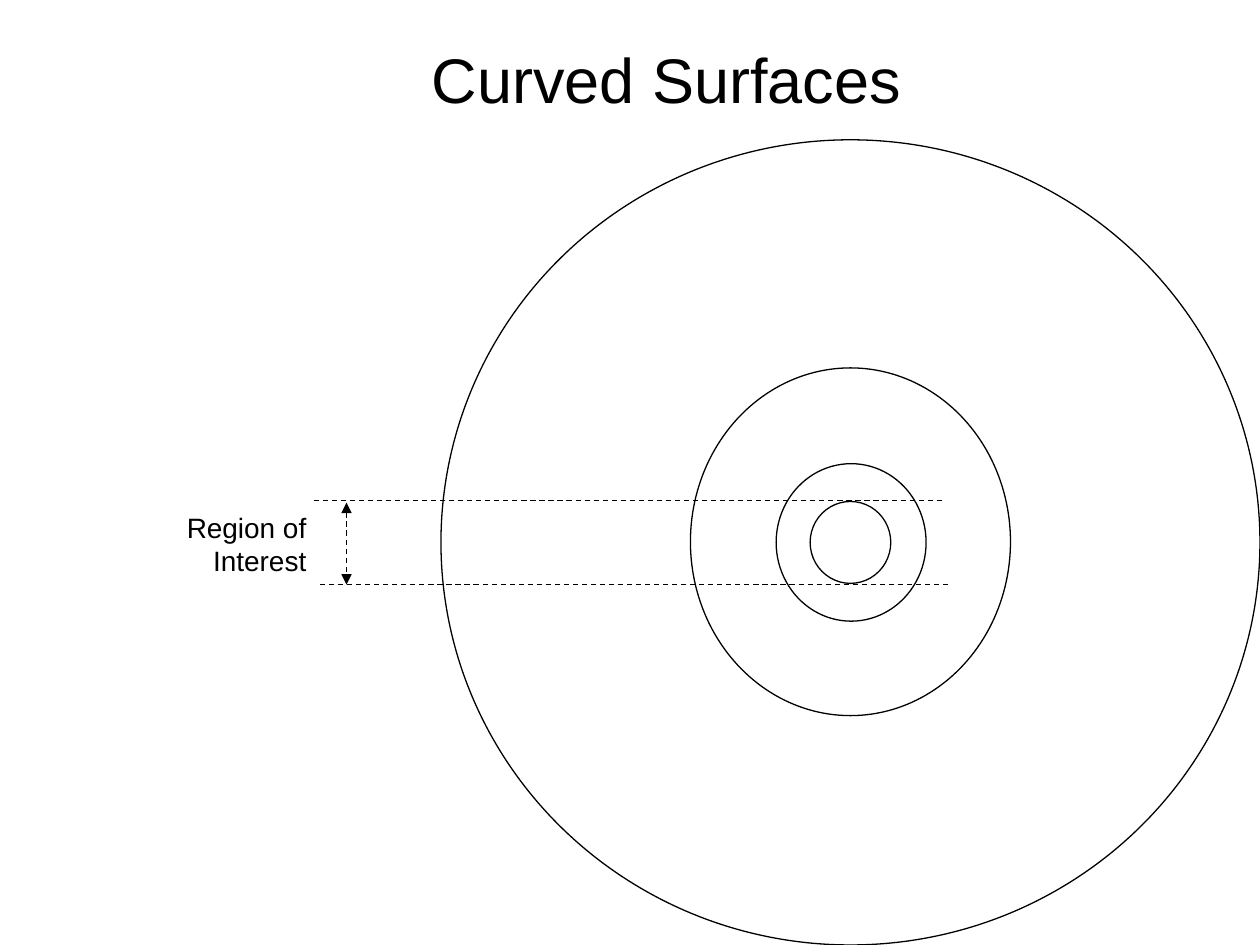
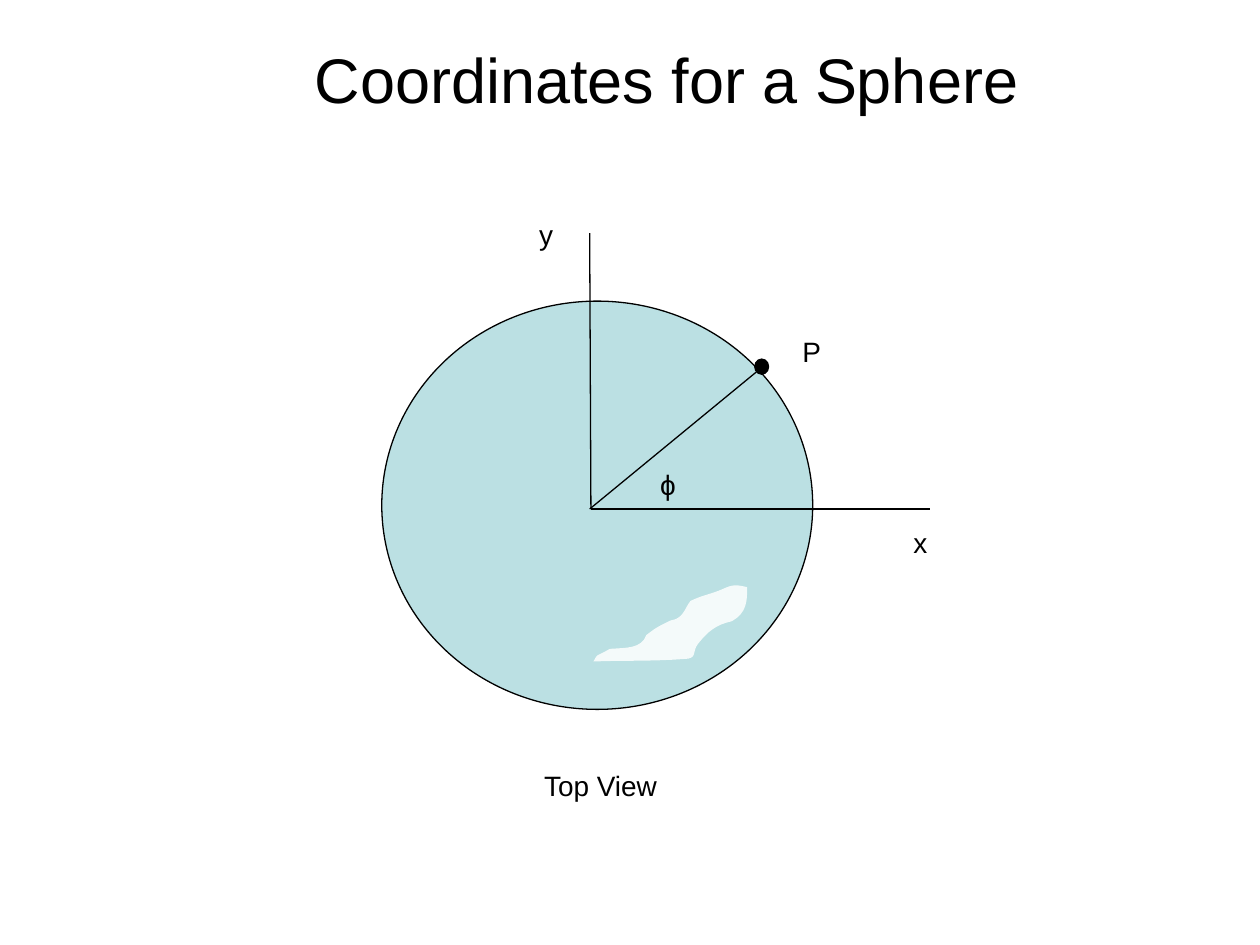
"""Build two geometry slides: curved surfaces and coordinates for a sphere."""
import dataclasses

import lxml.etree
import pptx
import pptx.dml.color
import pptx.enum.dml
import pptx.enum.shapes
import pptx.enum.text
import pptx.oxml
import pptx.oxml.ns
import pptx.util


@dataclasses.dataclass(frozen=True)
class Theme:
    ink: pptx.dml.color.RGBColor = pptx.dml.color.RGBColor(0, 0, 0)
    globe: pptx.dml.color.RGBColor = pptx.dml.color.RGBColor(0xBB, 0xE0, 0xE3)
    gleam: pptx.dml.color.RGBColor = pptx.dml.color.RGBColor(0xFF, 0xFF, 0xFF)
    font: str = "Arial"
    title: int = 36
    label: int = 16
    stroke: float = 0.75


THEME = Theme()
EMU_PER_PX = 9144
LEFT = pptx.enum.text.PP_ALIGN.LEFT
CENTER = pptx.enum.text.PP_ALIGN.CENTER
RIGHT = pptx.enum.text.PP_ALIGN.RIGHT


def px(*lengths):
    return [pptx.util.Emu(round(length * EMU_PER_PX)) for length in lengths]


def add_text(slide, wording, box, size, align):
    caption = slide.shapes.add_textbox(*px(*box))
    frame = caption.text_frame
    frame.text = wording
    for paragraph in frame.paragraphs:
        paragraph.alignment = align
        paragraph.font.name = THEME.font
        paragraph.font.size = pptx.util.Pt(size)
        paragraph.font.color.rgb = THEME.ink
    return frame


deck = pptx.Presentation()
deck.slide_width, deck.slide_height = px(1000, 750)
surfaces, sphere = [deck.slides.add_slide(deck.slide_layouts[6]) for _ in range(2)]

for slide, heading in ((surfaces, "Curved Surfaces"), (sphere, "Coordinates for a Sphere")):
    title = add_text(slide, heading, (175, 0, 708, 125), THEME.title, CENTER)
    title.word_wrap = True
    title.vertical_anchor = pptx.enum.text.MSO_ANCHOR.MIDDLE

center_x, center_y = 675, 430
rings = [
    (surfaces, (center_x - width // 2, center_y - height // 2, width, height), None)
    for width, height in ((64, 65), (119, 125), (254, 276), (650, 639))
]
globe = (sphere, (303, 239, 342, 324), THEME.globe)
point = (sphere, (599, 285, 11, 12), THEME.ink)
for slide, box, color in rings + [globe, point]:
    oval = slide.shapes.add_shape(pptx.enum.shapes.MSO_SHAPE.OVAL, *px(*box))
    oval.shadow.inherit = False
    oval.line.color.rgb = THEME.ink
    oval.line.width = pptx.util.Pt(THEME.stroke)
    if color is None:
        oval.fill.background()
    else:
        oval.fill.solid()
        oval.fill.fore_color.rgb = color

gleam_start = (471, 525)
gleam_curves = (
    ((495, 524), (519, 525), (543, 523)),
    ((554, 523), (549, 517), (554, 511)),
    ((562, 501), (568, 496), (581, 493)),
    ((593, 486), (593, 477), (593, 466)),
    ((581, 463), (580, 465), (570, 469)),
    ((562, 472), (556, 473), (548, 477)),
    ((544, 482), (543, 488), (537, 491)),
    ((535, 492), (533, 492), (531, 493)),
    ((521, 498), (521, 498), (513, 504)),
    ((509, 515), (497, 514), (484, 515)),
    ((472, 522), (475, 518), (471, 525)),
)
steps = 8
outline = []
start = gleam_start
for curve in gleam_curves:
    for step in range(1, steps + 1):
        t = step / steps
        weights = ((1 - t) ** 3, 3 * t * (1 - t) ** 2, 3 * t**2 * (1 - t), t**3)
        outline.append(px(*(
            sum(weight * place for weight, place in zip(weights, places))
            for places in zip(start, *curve)
        )))
    start = curve[-1]
builder = sphere.shapes.build_freeform(*px(*gleam_start))
builder.add_line_segments(outline, close=True)
gleam = builder.convert_to_shape()
gleam.shadow.inherit = False
gleam.fill.solid()
gleam.fill.fore_color.rgb = THEME.gleam
gleam.line.fill.background()
gleam_color = next(gleam.fill._xPr.iter(pptx.oxml.ns.qn("a:srgbClr")))
lxml.etree.SubElement(gleam_color, pptx.oxml.ns.qn("a:alpha"), val="85000")

for slide, ends, dashed, arrows in (
    (surfaces, (249, 397, 749, 397), True, False),
    (surfaces, (254, 464, 754, 464), True, False),
    (surfaces, (275, 399, 275, 464), True, True),
    (sphere, (468, 185, 469, 403), False, False),
    (sphere, (469, 404, 738, 404), False, False),
    (sphere, (468, 404, 603, 293), False, False),
):
    stroke = slide.shapes.add_connector(pptx.enum.shapes.MSO_CONNECTOR.STRAIGHT, *px(*ends))
    stroke.line.color.rgb = THEME.ink
    stroke.line.width = pptx.util.Pt(THEME.stroke)
    if dashed:
        stroke.line.dash_style = pptx.enum.dml.MSO_LINE.DASH
    if arrows:
        for tip in ("a:headEnd", "a:tailEnd"):
            lxml.etree.SubElement(stroke.line._ln, pptx.oxml.ns.qn(tip), type="triangle")
    lxml.etree.SubElement(stroke._element.spPr, pptx.oxml.ns.qn("a:effectLst"))

for slide, wording, box, align in (
    (surfaces, "Region of\nInterest", (138, 400, 115, 64), RIGHT),
    (sphere, "P", (627, 261, 35, 37), LEFT),
    (sphere, "ϕ", (514, 366, 34, 37), LEFT),
    (sphere, "y", (418, 168, 31, 37), LEFT),
    (sphere, "x", (715, 412, 31, 37), LEFT),
    (sphere, "Top View", (422, 605, 112, 37), LEFT),
):
    add_text(slide, wording, box, THEME.label, align).word_wrap = False

deck.save("out.pptx")
